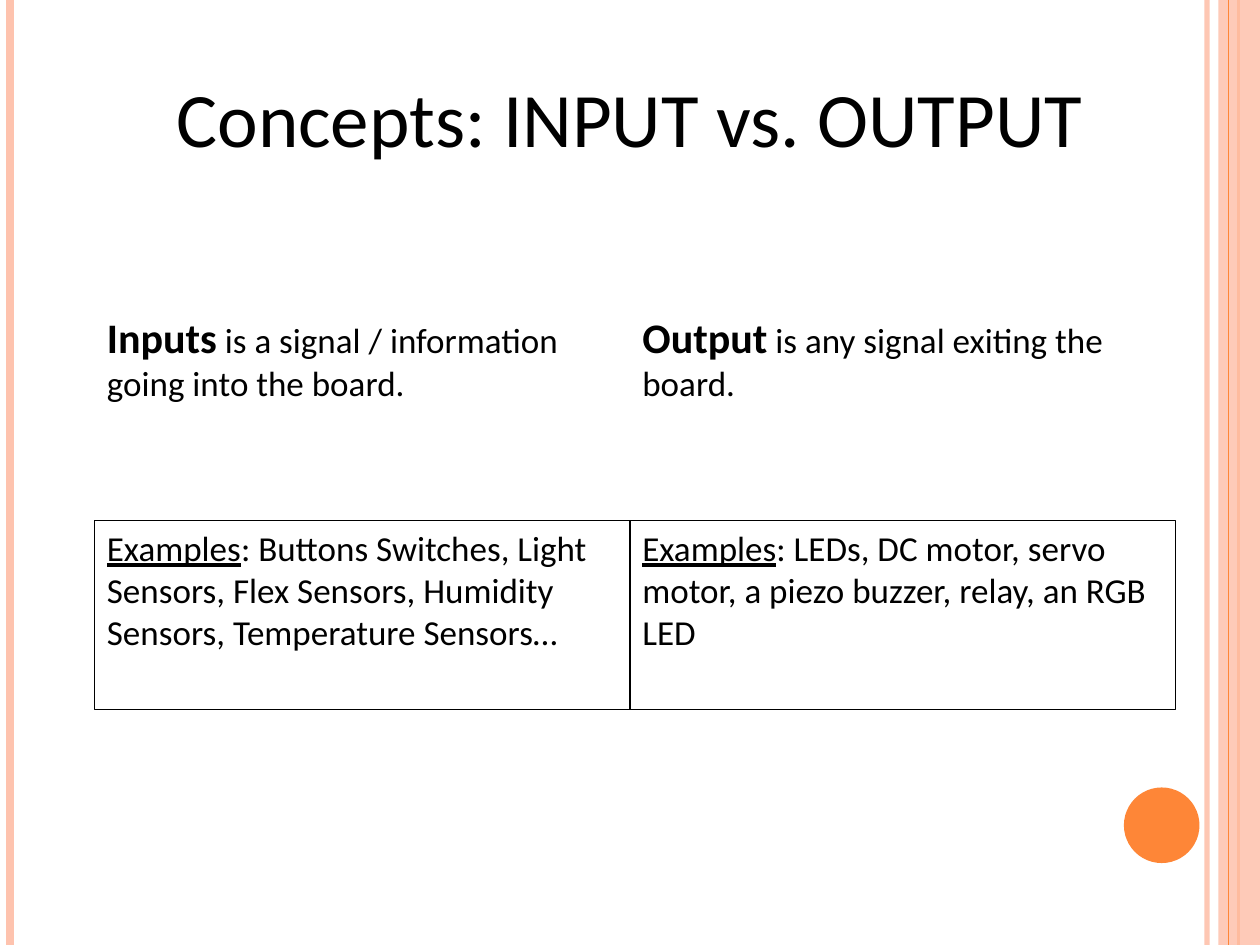
from lxml.etree import SubElement
from pptx import Presentation
from pptx.dml.color import RGBColor
from pptx.enum.shapes import MSO_CONNECTOR, MSO_SHAPE
from pptx.enum.text import MSO_ANCHOR, PP_ALIGN
from pptx.oxml.ns import qn
from pptx.util import Inches, Pt

COLORS = {"peach": "FEC3AE", "orange": "FE8637", "black": "000000"}
FONT = "Calibri"
SLIDE_WIDTH, SLIDE_HEIGHT = 10, 7.5
COLUMNS = [
    {
        "left": 0.75,
        "width": 4.25,
        "term": "Inputs",
        "definition": " is a signal / information going into the board.",
        "examples": ": Buttons Switches, Light Sensors, Flex Sensors, "
                    "Humidity Sensors, Temperature Sensors…",
    },
    {
        "left": 5,
        "width": 4.33,
        "term": "Output",
        "definition": " is any signal exiting the board.",
        "examples": ": LEDs, DC motor, servo motor, a piezo buzzer, relay, an RGB LED",
    },
]


def color(name):
    return RGBColor.from_string(COLORS[name])


def set_alpha(element, percent):
    color_element = next(element.iter(qn("a:srgbClr")))
    SubElement(color_element, qn("a:alpha")).set("val", str(percent * 1000))


def add_stripe(slide, x, name, width, alpha=100):
    stripe = slide.shapes.add_connector(
        MSO_CONNECTOR.STRAIGHT, Inches(x), 0, Inches(x), Inches(SLIDE_HEIGHT))
    stripe.line.color.rgb = color(name)
    stripe.line.width = Pt(width)
    properties = stripe._element.spPr
    if alpha < 100:
        set_alpha(properties, alpha)
    SubElement(properties, qn("a:effectLst"))


def add_filled_shape(slide, kind, left, top, width, height, name):
    shape = slide.shapes.add_shape(
        kind, Inches(left), Inches(top), Inches(width), Inches(height))
    shape.shadow.inherit = False
    shape.fill.solid()
    shape.fill.fore_color.rgb = color(name)
    shape.line.fill.background()
    return shape


def add_decoration(slide):
    add_stripe(slide, 9.58, "peach", 3, 93)
    add_stripe(slide, 0.08, "peach", 4.5)
    add_stripe(slide, 9.83, "orange", 1.5)
    band = add_filled_shape(
        slide, MSO_SHAPE.RECTANGLE, 9.67, 0, SLIDE_WIDTH - 9.67, SLIDE_HEIGHT, "peach")
    set_alpha(band._element.spPr, 87)
    add_stripe(slide, 9.75, "orange", 0.75)
    add_filled_shape(slide, MSO_SHAPE.OVAL, 8.92, 6.25, 0.6, 0.6, "orange")


def format_run(run, size, bold=False, underline=False):
    run.font.name = FONT
    run.font.size = Pt(size)
    run.font.bold = bold
    run.font.underline = underline
    run.font.color.rgb = color("black")


def set_title(slide, text, left, top, width, height):
    title = slide.shapes.title
    title.left, title.top = Inches(left), Inches(top)
    title.width, title.height = Inches(width), Inches(height)
    title.text_frame.text = text
    title.text_frame.vertical_anchor = MSO_ANCHOR.MIDDLE
    paragraph = title.text_frame.paragraphs[0]
    paragraph.alignment = PP_ALIGN.CENTER
    format_run(paragraph.runs[0], 44)


def write_lead_and_body(text_frame, lead, body, lead_size, **lead_style):
    text_frame.word_wrap = True
    text_frame.vertical_anchor = MSO_ANCHOR.TOP
    paragraph = text_frame.paragraphs[0]
    paragraph.text = lead
    paragraph.alignment = PP_ALIGN.LEFT
    format_run(paragraph.runs[0], lead_size, **lead_style)
    body_run = paragraph.add_run()
    body_run.text = body
    format_run(body_run, 20)


def add_column(slide, column, top, height, row_step):
    left, width = Inches(column["left"]), Inches(column["width"])
    definition = slide.shapes.add_textbox(left, Inches(top), width, Inches(height))
    write_lead_and_body(
        definition.text_frame, column["term"], column["definition"], 24, bold=True)

    examples = slide.shapes.add_shape(
        MSO_SHAPE.RECTANGLE, left, Inches(top + row_step), width, Inches(height))
    examples.shadow.inherit = False
    examples.fill.background()
    examples.line.color.rgb = color("black")
    examples.line.width = Pt(0.75)
    write_lead_and_body(
        examples.text_frame, "Examples", column["examples"], 20, underline=True)


def main():
    presentation = Presentation()
    presentation.slide_width = Inches(SLIDE_WIDTH)
    presentation.slide_height = Inches(SLIDE_HEIGHT)
    slide = presentation.slides.add_slide(presentation.slide_layouts[5])
    add_decoration(slide)
    set_title(slide, "Concepts: INPUT vs. OUTPUT", 0.5, 0.3, 9, 1.25)
    for column in COLUMNS:
        add_column(slide, column, 2.42, 1.5, 1.71)
    presentation.save("out.pptx")


if __name__ == "__main__":
    main()
